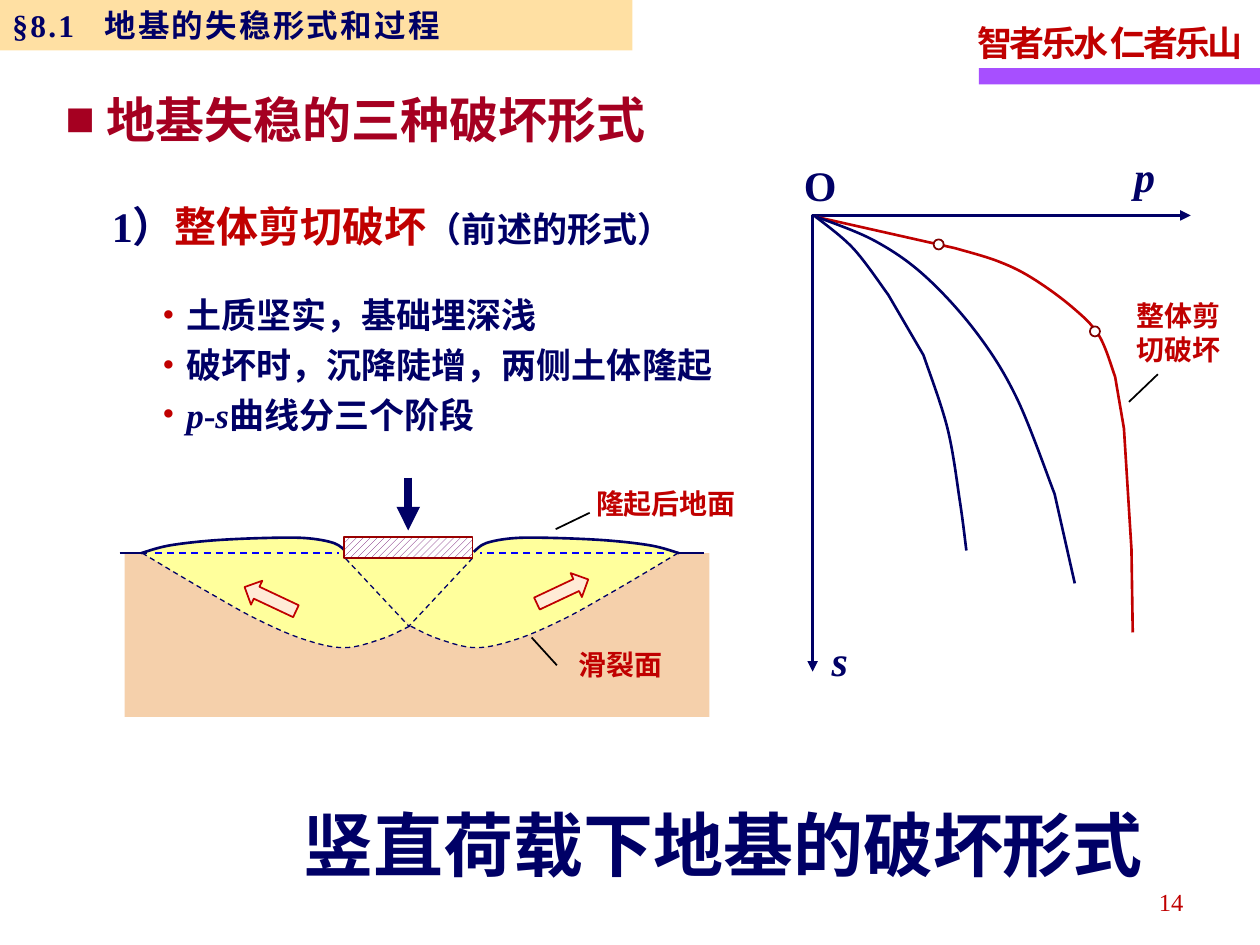
from lxml.etree import SubElement
from pptx import Presentation
from pptx.dml.color import RGBColor
from pptx.enum.dml import MSO_LINE, MSO_PATTERN
from pptx.enum.shapes import MSO_CONNECTOR, MSO_SHAPE
from pptx.enum.text import MSO_ANCHOR, PP_ALIGN
from pptx.oxml.ns import qn
from pptx.util import Cm, Pt

NAVY, RED, WINE, BLUE = "000066", "C00000", "A50021", "0000FF"
YELLOW, SOIL, WHITE, BLACK = "FFFF9C", "F5D0AB", "FFFFFF", "000000"
ROMAN, SANS = "Times New Roman", "Noto Sans CJK SC"
LEFT, MID, RIGHT = PP_ALIGN.LEFT, PP_ALIGN.CENTER, PP_ALIGN.RIGHT

# All places are in inches.
HEAD = [("1）", {}), ("整体剪切破坏", {"hue": RED}), ("（前述的形式）", {"size": 20})]
POINTS = [
    [("土质坚实，基础埋深浅", {})],
    [("破坏时，沉降陡增，两侧土体隆起", {})],
    [("p", {"slant": True}), ("-", {}), ("s", {"slant": True}), ("曲线分三个阶段", {})],
]
AXES = [("s", (6.5, 4.94, 0.33, 0.53), True),
        ("p", (8.9, 1.1, 0.37, 0.53), True),
        ("O", (6.28, 1.17, 0.46, 0.53), False)]
LABELS = [("整体剪切破坏", (8.83, 2.32, 1.05, 0.64), (8.96, 3.19, 9.19, 2.97)),
          ("滑裂面", (4.37, 5.09, 1.11, 0.37), (4.22, 5.06, 4.42, 5.28)),
          ("隆起后地面", (4.53, 3.81, 1.51, 0.37), (4.41, 4.2, 4.68, 4.07))]
# Colour, numbers of the straight stretches, dots
CURVES = [
    (RED, (1, 7, 8), [(6.47, 1.72), (7.58, 1.97), (7.91, 2.07), (8.18, 2.2), (8.5, 2.43),
                      (8.72, 2.66), (8.85, 2.99), (8.92, 3.4), (8.98, 4.36), (8.99, 5.02)]),
    (NAVY, (6,), [(6.48, 1.72), (6.94, 1.91), (7.34, 2.19), (7.75, 2.64), (8.07, 3.16),
                  (8.37, 3.92), (8.53, 4.63)]),
    (NAVY, (3,), [(6.46, 1.71), (6.77, 1.97), (7.05, 2.34), (7.33, 2.82), (7.52, 3.4),
                  (7.62, 3.99), (7.67, 4.37)]),
]
KNEES = [(7.41, 1.9), (8.65, 2.59)]
SLIP = [(3.26, 4.97), (3.48, 5.07), (3.78, 5.14), (4.11, 5.07), (4.48, 4.91),
        (4.84, 4.71), (5.13, 4.54), (5.38, 4.39)]
HEAVE = [(3.76, 4.38), (3.86, 4.31), (4.09, 4.27), (4.42, 4.27), (4.83, 4.29),
         (5.17, 4.33), (5.39, 4.39)]
CORE = [(2.75, 4.41), (3.26, 4.97), (3.76, 4.4)]
TWIN = 6.51  # x of a left point plus x of its right twin
GROUND = 4.39


def dist(inch):
    return Cm(inch * 2.54)


def rgb(code):
    return RGBColor.from_string(code)


def flip(dots):
    return [(TWIN - x, y) for x, y in dots]


def stroke(item, hue, width, dash=False, tips=()):
    """Set the line; tips names the ends that get an arrowhead."""
    line = item.line
    line.color.rgb = rgb(hue)
    line.width = Pt(width)
    if dash:
        line.dash_style = MSO_LINE.DASH
    for tip in tips:
        SubElement(line._get_or_add_ln(), qn("a:" + tip), type="triangle")


def paint(item, fill=None, line=None):
    item.shadow.inherit = False
    if fill:
        item.fill.solid()
        item.fill.fore_color.rgb = rgb(fill)
    else:
        item.fill.background()
    if line:
        stroke(item, *line)
    else:
        item.line.fill.background()
    return item


def shape(kind, box, fill=None, line=None):
    return paint(slide.shapes.add_shape(kind, *map(dist, box)), fill, line)


def bend(item, flat):
    """Turn each stretch not listed in flat into a curve through its neighbours."""
    dots = [(int(pt.get("x")), int(pt.get("y"))) for pt in item._element.iter(qn("a:pt"))]
    last = len(dots) - 1
    for i, seg in enumerate(list(item._element.iter(qn("a:lnTo"))), 1):
        if i in flat:
            continue
        b, c = dots[i - 1], dots[i]
        a = b if i == 1 or i - 1 in flat else dots[i - 2]
        d = c if i == last or i + 1 in flat else dots[i + 1]
        ctrl = [[q + (r - p) / 6 for p, q, r in zip(a, b, c)],
                [r - (s - q) / 6 for q, r, s in zip(b, c, d)], c]
        curve = seg.makeelement(qn("a:cubicBezTo"))
        for x, y in ctrl:
            SubElement(curve, qn("a:pt"), x=str(round(x)), y=str(round(y)))
        seg.getparent().replace(seg, curve)


def trace(dots, fill=None, line=None, flat=None):
    """Draw through the dots; straight throughout when flat is None."""
    (x, y), *rest = [(dist(a), dist(b)) for a, b in dots]
    pen = slide.shapes.build_freeform(x, y)
    pen.add_line_segments(rest, close=fill is not None)
    item = pen.convert_to_shape()
    if flat is not None:
        bend(item, flat)
    paint(item, fill, line)


def link(ends, *look):
    item = slide.shapes.add_connector(MSO_CONNECTOR.STRAIGHT, *map(dist, ends))
    stroke(item, *look)
    SubElement(item._element.spPr, qn("a:effectLst"))


def face(font, name, size, hue, bold=True, slant=False, gap=None):
    font.name, font.size, font.bold, font.italic = name, Pt(size), bold, slant
    font.color.rgb = rgb(hue)
    SubElement(font._element, qn("a:ea"), typeface=SANS)
    if gap is not None:
        font._element.set("spc", str(int(gap * 100)))


def bullet(para, mark, inset, hue):
    props = para._p.get_or_add_pPr()
    props.set("marL", str(dist(inset)))
    props.set("indent", str(-dist(inset)))
    tint = SubElement(props, qn("a:buClr"))
    SubElement(tint, qn("a:srgbClr"), val=hue)
    SubElement(props, qn("a:buFont"), typeface=ROMAN)
    SubElement(props, qn("a:buChar"), char=mark)


def write(item, text, name, size, hue, align=LEFT, lead=None, wrap=True,
          anchor=MSO_ANCHOR.TOP, **more):
    frame = item.text_frame
    frame.word_wrap, frame.vertical_anchor = wrap, anchor
    para = frame.paragraphs[0]
    para.text, para.alignment = text, align
    if lead:
        para.line_spacing = lead
    face(para.runs[0].font, name, size, hue, **more)
    return para


def text_box(box):
    return slide.shapes.add_textbox(*map(dist, box))


def fill_runs(para, parts, size):
    for text, look in parts:
        run = para.add_run()
        run.text = text
        face(run.font, ROMAN, **{"size": size, "hue": NAVY, **look})


deck = Presentation()
deck.slide_width, deck.slide_height = dist(10), dist(7.5)
slide = deck.slides.add_slide(deck.slide_layouts[5])

# Page frame and headings
shape(MSO_SHAPE.RECTANGLE, (7.77, 0.54, 2.23, 0.13), "A74FFF")
write(text_box((7.66, 0.07, 2.36, 0.49)), "智者乐水 仁者乐山", ROMAN, 20, RED,
      lead=1.15, wrap=False, gap=-1.7)
write(text_box((7.16, 6.96, 2.33, 0.4)), "14", ROMAN, 14, RED, RIGHT, 1.15, bold=False)
topic = write(text_box((0.42, 0.66, 5.95, 0.57)), "地基失稳的三种破坏形式", SANS, 28, WINE)
bullet(topic, "■", 0.33, WINE)
title = slide.shapes.title
title.left, title.top, title.width, title.height = map(dist, (2.22, 6.31, 7.04, 0.77))
write(title, "竖直荷载下地基的破坏形式", SANS, 40, NAVY, MID)
band = shape(MSO_SHAPE.RECTANGLE, (0, 0, 5.02, 0.4), "FFCC66")
tint = band.fill._xPr.find(qn("a:solidFill"))[0]
SubElement(tint, qn("a:alpha"), val="60000")
para = write(band, "§8.1\t地基的失稳形式和过程", ROMAN, 18, NAVY, anchor=MSO_ANCHOR.MIDDLE, gap=1.3)
tabs = SubElement(para._p.get_or_add_pPr(), qn("a:tabLst"))
SubElement(tabs, qn("a:tab"), pos=str(dist(0.73)), algn="l")

# Failure mode and its traits
frame = text_box((0.79, 1.48, 4.71, 0.52)).text_frame
frame.word_wrap = True
frame.paragraphs[0].line_spacing = 1.15
fill_runs(frame.paragraphs[0], HEAD, 24)
frame = text_box((1.19, 2.25, 4.75, 1.27)).text_frame
frame.word_wrap = True
for i, parts in enumerate(POINTS):
    para = frame.add_paragraph() if i else frame.paragraphs[0]
    para.line_spacing, para.space_after = 1.1, Pt(1)
    if i:
        para.space_before = Pt(1)
    bullet(para, "•", 0.19, RED)
    fill_runs(para, parts, 20)

# Load and settlement chart
for text, box, slant in AXES:
    write(text_box(box), text, ROMAN, 24, NAVY, MID, 1.15, False,
          MSO_ANCHOR.MIDDLE, slant=slant)
trace([(9.45, 1.71), (6.45, 1.71), (6.45, 5.33)],
      line=(NAVY, 1.5, False, ("headEnd", "tailEnd")))
for hue, flat, dots in CURVES:
    trace(dots, line=(hue, 1.5), flat=flat)
for x, y in KNEES:
    shape(MSO_SHAPE.OVAL, (x, y, 0.08, 0.08), WHITE, ("800000", 1))

# Soil section
shape(MSO_SHAPE.RECTANGLE, (0.99, GROUND, 4.64, 1.3), SOIL)
sides = [(SLIP, HEAVE), (flip(SLIP), flip(HEAVE))]
for slip, heave in sides:
    trace(slip + heave[-2::-1], YELLOW, flat=(7,))
trace(CORE, YELLOW)
for slip, heave in sides:
    trace(heave, line=(NAVY, 1.5), flat=())
    trace(slip, line=(NAVY, 0.75, True), flat=(7,))
wedge = shape(MSO_SHAPE.ISOSCELES_TRIANGLE, (2.74, 4.43, 1.01, 0.54), None, (NAVY, 0.75, True))
wedge.rotation = 180
for x, y, turn in [(4.24, 4.59, 334.8), (1.92, 4.65, 205.2)]:
    shape(MSO_SHAPE.RIGHT_ARROW, (x, y, 0.45, 0.21), "FFEBD6", (RED, 1)).rotation = turn
for start, end in [(5.27, 3.81), (1.23, 2.69)]:
    link((start, GROUND, end, GROUND), BLUE, 1, True)
for start, end in [(0.95, 1.17), (5.38, 5.59)]:
    link((start, GROUND, end, GROUND), NAVY, 1.5)
link((3.24, 3.79, 3.24, 4.21), NAVY, 4.5, False, ("tailEnd",))
base = shape(MSO_SHAPE.RECTANGLE, (2.73, 4.26, 1.02, 0.17), None, ("990000", 1))
base.fill.patterned()
base.fill.pattern = MSO_PATTERN.WIDE_UPWARD_DIAGONAL
base.fill.fore_color.rgb, base.fill.back_color.rgb = rgb("660066"), rgb(WHITE)

for text, box, ends in LABELS:
    write(text_box(box), text, SANS, 16, RED, MID)
    link(ends, BLACK, 1)

deck.save("out.pptx")
